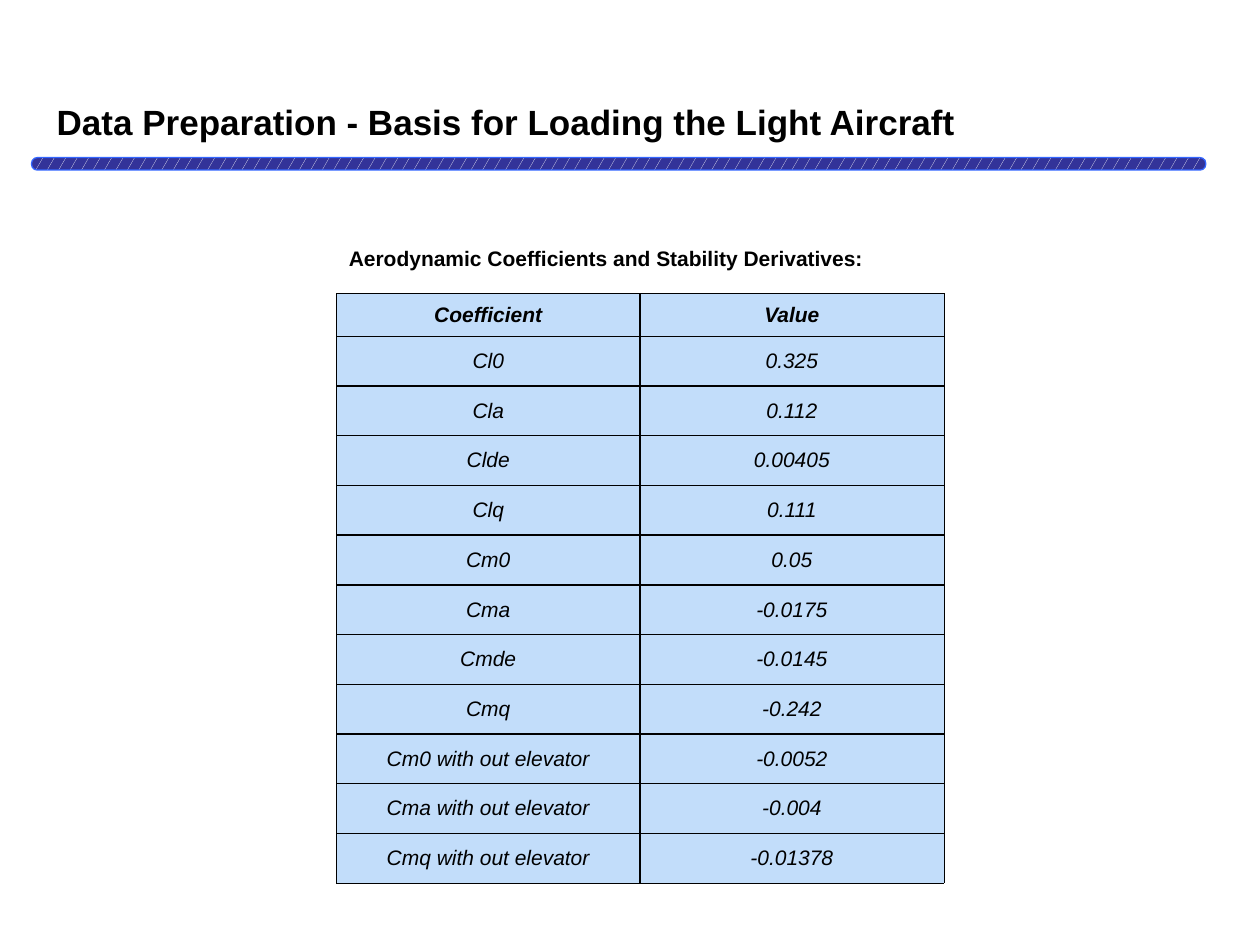
"""Build a slide with a table of aerodynamic coefficients."""
from dataclasses import dataclass
from typing import Any

from lxml import etree
from pptx import Presentation
from pptx import util as u
from pptx.dml.color import RGBColor
from pptx.enum import dml, shapes, text
from pptx.oxml.ns import qn


@dataclass(frozen=True)
class Theme:
    """Colours, font and sizes of the slide."""
    ink: str = "000000"
    cell: str = "C2DDFA"
    bar: str = "333399"
    bar_mark: str = "FFFFFF"
    bar_line: str = "3366FF"
    font: str = "Arial"
    title_size: float = 20
    body_size: float = 12
    inner_line: float = 1
    outer_line: float = 0.25


@dataclass(frozen=True)
class Frame:
    """A place given in percent of the slide's width and height."""
    left: float
    top: float
    width: float
    height: float

    def lengths(self) -> dict[str, int]:
        """Return the place in slide units."""
        return {
            "left": int(WIDTH * self.left / 100),
            "top": int(HEIGHT * self.top / 100),
            "width": int(WIDTH * self.width / 100),
            "height": int(HEIGHT * self.height / 100),
        }


@dataclass(frozen=True)
class Coefficient:
    """One row of the table."""
    name: str
    value: str


THEME = Theme()
WIDTH, HEIGHT = u.Inches(10), u.Inches(7.5)
TITLE = Frame(3.5, 10, 90.6, 5.87)
BAR = Frame(2.5, 16.67, 93.2, 1.33)
CAPTION = Frame(26.7, 25.33, 58.1, 5.33)
TABLE = Frame(26.7, 31.07, 48.2, 62.4)
HEADER_SHARE = 0.86

ROWS = [
    Coefficient("Coefficient", "Value"),
    Coefficient("Cl0", "0.325"),
    Coefficient("Cla", "0.112"),
    Coefficient("Clde", "0.00405"),
    Coefficient("Clq", "0.111"),
    Coefficient("Cm0", "0.05"),
    Coefficient("Cma", "-0.0175"),
    Coefficient("Cmde", "-0.0145"),
    Coefficient("Cmq", "-0.242"),
    Coefficient("Cm0 with out elevator", "-0.0052"),
    Coefficient("Cma with out elevator", "-0.004"),
    Coefficient("Cmq with out elevator", "-0.01378"),
]


def apply(target: Any, values: dict[str, Any]) -> None:
    """Set each named attribute on the target."""
    for name, value in values.items():
        setattr(target, name, value)


def write(frame: Any, words: str, size: float, align: Any, bold: bool = True, italic: bool = False) -> None:
    """Put one formatted paragraph into a text frame."""
    frame.text = words
    para = frame.paragraphs[0]
    apply(para, {"alignment": align, "space_before": u.Pt(0)})
    span = para.runs[0]
    apply(span.font, {"name": THEME.font, "size": u.Pt(size), "bold": bold, "italic": italic})
    span.font.color.rgb = RGBColor.from_string(THEME.ink)


def place_text(box: Any, place: Frame, words: str, size: float) -> None:
    """Move a text box and fill it with a left-aligned heading."""
    apply(box, place.lengths())
    apply(box.text_frame, {
        "word_wrap": True,
        "auto_size": text.MSO_AUTO_SIZE.NONE,
        "vertical_anchor": text.MSO_ANCHOR.TOP,
    })
    write(box.text_frame, words, size, text.PP_ALIGN.LEFT)


def add_bar(page: Any) -> None:
    """Draw the patterned bar below the title."""
    bar = page.shapes.add_shape(shapes.MSO_SHAPE.ROUNDED_RECTANGLE, **BAR.lengths())
    bar.adjustments[0] = 0.46
    bar.shadow.inherit = False
    bar.fill.patterned()
    bar.fill.pattern = dml.MSO_PATTERN.SMALL_CONFETTI
    bar.fill.fore_color.rgb = RGBColor.from_string(THEME.bar_mark)
    bar.fill.back_color.rgb = RGBColor.from_string(THEME.bar)
    bar.line.color.rgb = RGBColor.from_string(THEME.bar_line)
    bar.line.width = u.Pt(0.75)


def add_borders(cell: Any, outer: dict[str, bool]) -> None:
    """Give a cell thin outer and thicker inner borders."""
    properties = cell._tc.get_or_add_tcPr()
    for index, (side, is_outer) in enumerate(outer.items()):
        width = THEME.outer_line if is_outer else THEME.inner_line
        line = etree.Element(qn(f"a:{side}"), w=str(int(u.Pt(width))))
        fill = etree.SubElement(line, qn("a:solidFill"))
        etree.SubElement(fill, qn("a:srgbClr"), val=THEME.ink)
        properties.insert(index, line)


def add_coefficients(page: Any) -> None:
    """Draw the table of coefficients."""
    place = TABLE.lengths()
    table = page.shapes.add_table(len(ROWS), 2, **place).table
    last = len(ROWS) - 1
    row_height = place["height"] / (last + HEADER_SHARE)
    for index, entry in enumerate(ROWS):
        header = index == 0
        table.rows[index].height = int(row_height * (HEADER_SHARE if header else 1))
        for column, words in enumerate((entry.name, entry.value)):
            cell = table.cell(index, column)
            cell.vertical_anchor = text.MSO_ANCHOR.MIDDLE
            cell.fill.solid()
            cell.fill.fore_color.rgb = RGBColor.from_string(THEME.cell)
            write(cell.text_frame, words, THEME.body_size, text.PP_ALIGN.CENTER, header, True)
            add_borders(cell, {
                "lnL": column == 0, "lnR": column == 1,
                "lnT": header, "lnB": index == last,
            })


def main() -> None:
    """Build and save the deck."""
    deck = Presentation()
    apply(deck, {"slide_width": WIDTH, "slide_height": HEIGHT})
    page = deck.slides.add_slide(deck.slide_layouts[5])
    place_text(page.shapes.title, TITLE,
               "Data Preparation - Basis for Loading the Light Aircraft", THEME.title_size)
    add_bar(page)
    place_text(page.shapes.add_textbox(**CAPTION.lengths()), CAPTION,
               "Aerodynamic Coefficients and Stability Derivatives:", THEME.body_size)
    add_coefficients(page)
    deck.save("out.pptx")


if __name__ == "__main__":
    main()
